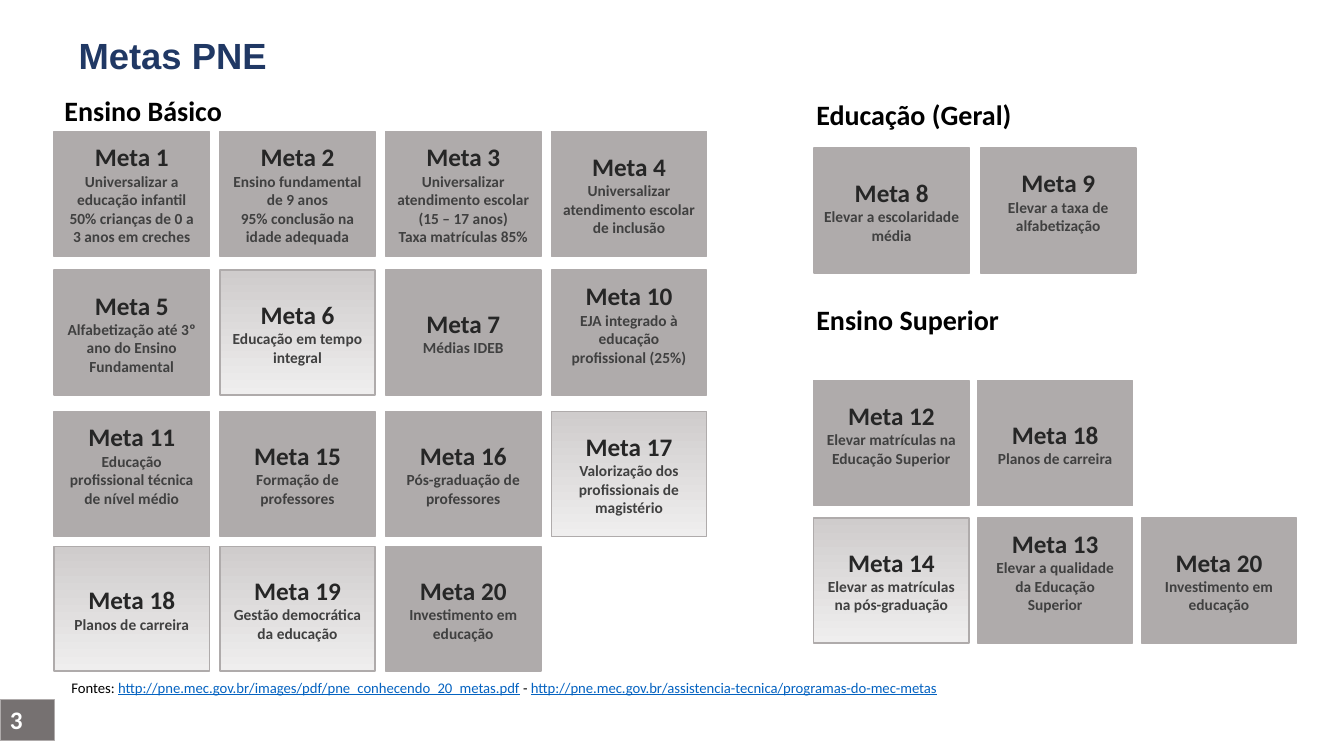
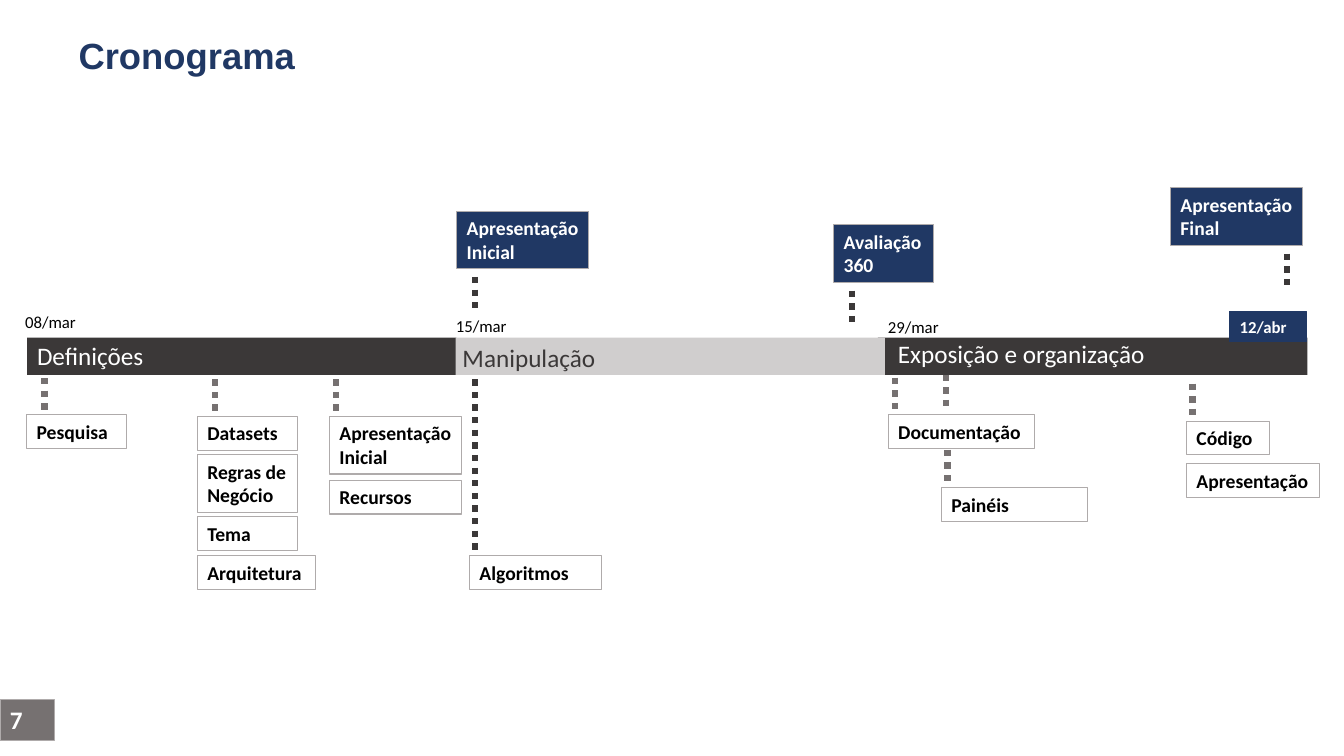
from lxml import etree
from pptx import Presentation
from pptx.dml.color import RGBColor
from pptx.enum import dml, shapes, text
from pptx.oxml.ns import qn
from pptx.util import Pt

COLORS = {
    "navy": "203864", "black": "000000", "white": "FFFFFF", "link": "0563C1",
    "card": "AFABAB", "fade_top": "CFCCCC", "fade_end": "EFEEEE",
    "heading": "262626", "body": "404040",
    "dark": "3B3838", "light": "D0CECE", "gray": "767171",
}

# Goals: heading, heading position, card left, column pitch, row tops, rows of cards
# Each card: number, lines, style ("solid" or "fade"), extra space under the text
RAISED = 13.4
GOAL_GROUPS = [
    ("Ensino Básico", (38.9, 63.4), 38.7, 118.4, (93.8, 193, 293.8, 390.2), [
        [(1, ["Universalizar a educação infantil",
              "50% crianças de 0 a 3 anos em creches"], "solid", 0),
         (2, ["Ensino fundamental de 9 anos",
              "95% conclusão na idade adequada"], "solid", 0),
         (3, ["Universalizar atendimento escolar (15 – 17 anos)",
              "Taxa matrículas 85%"], "solid", 0),
         (4, ["Universalizar atendimento escolar de inclusão"], "solid", 0)],
        [(5, ["Alfabetização até 3º ano do Ensino Fundamental"], "solid", 0),
         (6, ["Educação em tempo integral"], "fade", 0),
         (7, ["Médias IDEB"], "solid", 0),
         (10, ["EJA integrado à educação profissional (25%)"], "solid", RAISED)],
        [(11, ["Educação profissional técnica de nível médio"], "solid", RAISED),
         (15, ["Formação de professores"], "solid", 0),
         (16, ["Pós-graduação de professores"], "solid", 0),
         (17, ["Valorização dos profissionais de magistério"], "fade", 0)],
        [(18, ["Planos de carreira"], "fade", 0),
         (19, ["Gestão democrática da educação"], "fade", 0),
         (20, ["Investimento em educação"], "solid", 0)],
    ]),
    ("Educação (Geral)", (576, 66.2), 581.5, 119, (105.8,), [
        [(8, ["Elevar a escolaridade média"], "solid", 0),
         (9, ["Elevar a taxa de alfabetização"], "solid", RAISED)],
    ]),
    ("Ensino Superior", (576, 212.4), 581.3, 117, (272, 370), [
        [(12, ["Elevar matrículas na Educação Superior"], "solid", RAISED),
         (18, ["Planos de carreira"], "solid", 0)],
        [(14, ["Elevar as matrículas na pós-graduação"], "fade", 0),
         (13, ["Elevar a qualidade da Educação Superior"], "solid", RAISED),
         (20, ["Investimento em educação"], "solid", 0)],
    ]),
]
CARD_WIDTH, CARD_HEIGHT = 110.9, 89.3
SOURCES = [
    ("Fontes: ", False),
    ("http://pne.mec.gov.br/images/pdf/pne_conhecendo_20_metas.pdf", True),
    (" - ", False),
    ("http://pne.mec.gov.br/assistencia-tecnica/programas-do-mec-metas", True),
]

# Timeline: phases as name, bar left, bar colour, label left, label top, label colour
PHASES = [
    ("Exposição e organização", 627.1, "dark", 634.3, 238.3, "white"),
    ("Definições", 19.4, "dark", 19.4, 239.2, "white"),
    ("Manipulação", 325.4, "light", 323.3, 241, "dark"),
]
BAR_TOP, BAR_WIDTH, BAR_HEIGHT = 241.2, 306.7, 26.6
DATES = [("08/mar", 10.8, 219.1), ("15/mar", 318.5, 222.2), ("29/mar", 627.1, 222.5)]
# Tasks and milestones: name, left, top, width, number of lines
TASKS = [
    ("Pesquisa", 19.1, 296.3, 71.6, 1),
    ("Datasets", 141, 297.4, 71.6, 1),
    ("Regras de Negócio", 141, 324.8, 71.6, 2),
    ("Tema", 141, 369.3, 71.6, 1),
    ("Arquitetura", 141, 396.9, 84.7, 1),
    ("Apresentação Inicial", 235.4, 297.4, 94.2, 2),
    ("Recursos", 235.4, 343, 94.2, 1),
    ("Algoritmos", 335.4, 396.9, 94.2, 1),
    ("Documentação", 634.5, 296.3, 104.4, 1),
    ("Painéis", 672.5, 348.4, 104.4, 1),
    ("Código", 847.6, 300.8, 59.4, 1),
    ("Apresentação", 847.6, 331.2, 94.9, 1),
]
MILESTONES = [
    ("Apresentação Inicial", 326.3, 150.8, 94.2, 2),
    ("Avaliação 360", 595.5, 160.5, 71.6, 2),
    ("Apresentação Final", 836.1, 134.1, 94.2, 2),
]
LINE_HEIGHTS = {1: 24.2, 2: 41.2}
# Dotted lines: x, top, length
STUB = 26.4
TASK_STUBS = [
    (31.7, 270, STUB), (153.4, 270.9, STUB), (239.8, 270.9, STUB),
    (639.4, 269.8, STUB), (675.9, 267.6, STUB), (676.7, 321.3, STUB),
    (851.9, 274.1, STUB),
]
MILESTONE_STUBS = [
    (339.1, 197.8, STUB), (608.4, 207.6, STUB), (919.4, 181.2, STUB),
    (339.1, 270.9, 123),
]


def rgb(name):
    return RGBColor.from_string(COLORS[name])


def style(para, size, color, bold=False, font="Calibri"):
    para.font.name, para.font.size, para.font.bold = font, Pt(size), bold
    para.font.color.rgb = rgb(color)


def add_text(page, content, left, top, width, height, size, color, **options):
    box = page.shapes.add_textbox(Pt(left), Pt(top), Pt(width), Pt(height))
    box.text_frame.word_wrap = True
    para = box.text_frame.paragraphs[0]
    para.text = content
    style(para, size, color, **options)
    return para


def add_box(page, left, top, width, height, fill=None, line=None, weight=0.75):
    box = page.shapes.add_shape(shapes.MSO_SHAPE.RECTANGLE,
                                Pt(left), Pt(top), Pt(width), Pt(height))
    box.shadow.inherit = False
    if fill:
        box.fill.solid()
        box.fill.fore_color.rgb = rgb(fill)
    else:
        box.fill.background()
    if line:
        box.line.color.rgb = rgb(line)
        box.line.width = Pt(weight)
    else:
        box.line.fill.background()
    return box


def add_label_box(page, content, left, top, width, height, size, color,
                  fill=None, line="card"):
    box = add_box(page, left, top, width, height, fill, line)
    box.text_frame.vertical_anchor = text.MSO_ANCHOR.TOP
    para = box.text_frame.paragraphs[0]
    para.text = content
    para.alignment = text.PP_ALIGN.LEFT
    style(para, size, color, bold=True)


def add_card(page, left, top, number, lines, look, extra):
    box = add_box(page, left, top, CARD_WIDTH, CARD_HEIGHT, "card", "card", 1)
    if look == "fade":
        box.fill.gradient()
        box.fill.gradient_angle = 270
        for stop, color in zip(box.fill.gradient_stops, ("fade_top", "fade_end")):
            stop.color.rgb = rgb(color)
    frame = box.text_frame
    frame.margin_bottom = Pt(3.6 + extra)
    frame.text = "\n".join([f"Meta {number}"] + lines)
    for index, para in enumerate(frame.paragraphs):
        para.alignment = text.PP_ALIGN.CENTER
        size, color = (11, "body") if index else (18, "heading")
        style(para, size, color, bold=True)


def add_dots(page, x, top, length, color):
    dots = page.shapes.add_connector(shapes.MSO_CONNECTOR.STRAIGHT,
                                     Pt(x), Pt(top), Pt(x), Pt(top + length))
    dots.line.color.rgb = rgb(color)
    dots.line.width = Pt(4.5)
    dots.line.dash_style = dml.MSO_LINE.ROUND_DOT
    etree.SubElement(dots._element.spPr, qn("a:effectLst"))


def add_page(deck, title, number):
    page = deck.slides.add_slide(deck.slide_layouts[6])
    add_text(page, title, 49, 20.2, 864.7, 38.9, 26, "navy", bold=True, font="Arial")
    add_label_box(page, str(number), 0, 499.7, 38.7, 29.1, 18, "white", "gray")
    return page


def build_goals(deck):
    page = add_page(deck, "Metas PNE", 3)
    for heading, place, left, pitch, tops, rows in GOAL_GROUPS:
        add_text(page, heading, *place, 323.3, 31.7, 20, "black", bold=True)
        for top, row in zip(tops, rows):
            for column, card in enumerate(row):
                add_card(page, left + column * pitch, top, *card)
    # Sources
    para = add_text(page, "", 43.9, 481, 900, 20.9, 10.5, "black")
    for content, is_address in SOURCES:
        span = para.add_run()
        span.text = content
        if is_address:
            span.font.underline = True
            span.font.color.rgb = rgb("link")


def build_timeline(deck):
    page = add_page(deck, "Cronograma", 7)
    # Phase bars, then their labels and dates
    for _, left, fill, *_ in PHASES:
        add_box(page, left, BAR_TOP, BAR_WIDTH, BAR_HEIGHT, fill)
    for name, _, _, left, top, color in PHASES:
        add_text(page, name, left, top, 218.2, 29.1, 18, color)
    for date, left, top in DATES:
        add_text(page, date, left, top, 71.3, 21.8, 12, "black")
    add_label_box(page, "12/abr", 878.4, 222.5, 54.7, 21.8, 12, "white", "navy", "navy")
    # Tasks below and milestones above
    for entries, color, fill in ((TASKS, "black", None), (MILESTONES, "white", "navy")):
        for name, left, top, width, lines in entries:
            add_label_box(page, name, left, top, width, LINE_HEIGHTS[lines],
                          14, color, fill)
    for stubs, color in ((TASK_STUBS, "gray"), (MILESTONE_STUBS, "dark")):
        for stub in stubs:
            add_dots(page, *stub, color)


def main():
    deck = Presentation()
    deck.slide_width, deck.slide_height = Pt(960), Pt(540)
    build_goals(deck)
    build_timeline(deck)
    deck.save("out.pptx")


if __name__ == "__main__":
    main()
